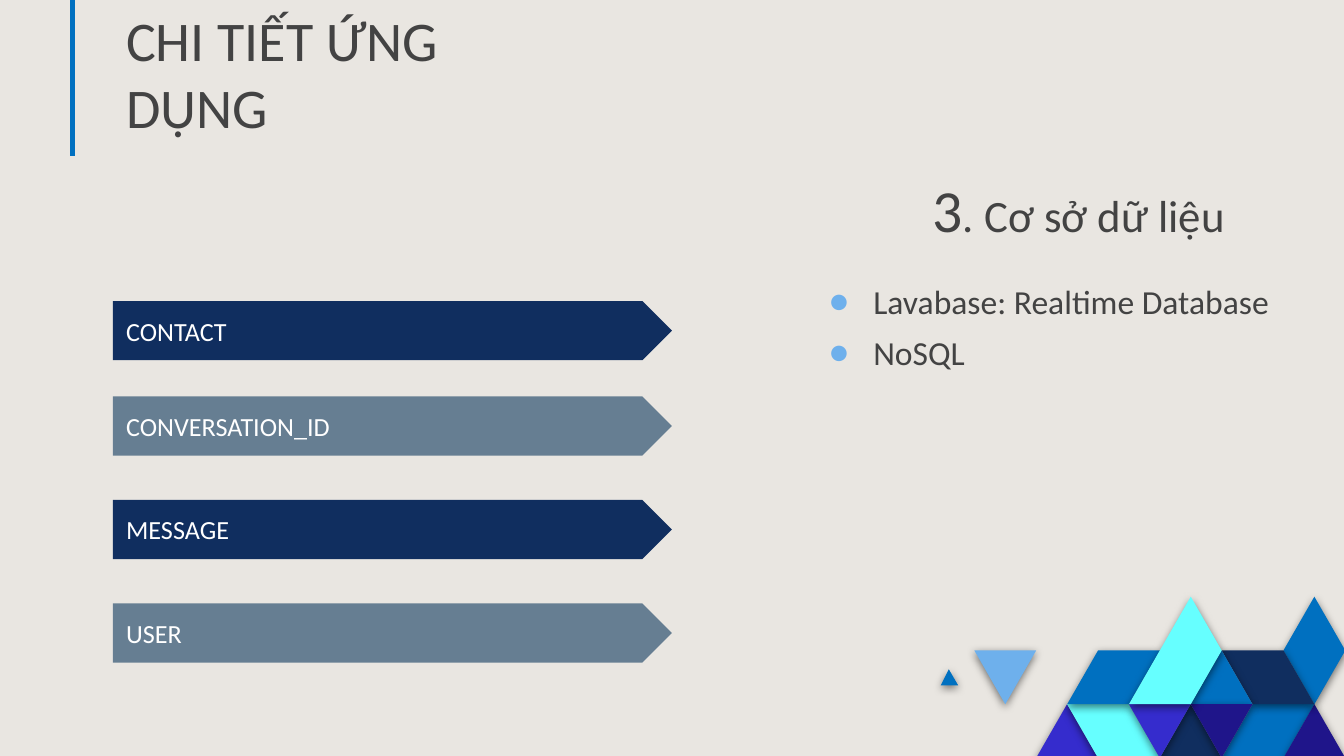
from lxml.etree import SubElement
from pptx import Presentation
from pptx.dml.color import RGBColor
from pptx.enum.shapes import MSO_CONNECTOR, MSO_SHAPE
from pptx.enum.text import MSO_ANCHOR, PP_ALIGN
from pptx.oxml.ns import qn
from pptx.util import Pt

PX = 9144  # 100 px to the inch
WIDE = 1000 * PX
FONT = "Calibri"

SAND = RGBColor(0xE9, 0xE6, 0xE1)
INK = RGBColor(0x43, 0x43, 0x43)
WHITE = RGBColor(0xFF, 0xFF, 0xFF)
BLUE = RGBColor(0x00, 0x70, 0xC0)
SKY = RGBColor(0x6E, 0xB0, 0xEC)
NAVY = RGBColor(0x10, 0x2E, 0x5F)
SLATE = RGBColor(0x66, 0x7E, 0x92)
AQUA = RGBColor(0x66, 0xFF, 0xFF)
VIOLET = RGBColor(0x35, 0x2C, 0xCD)
INDIGO = RGBColor(0x1F, 0x15, 0x8A)

# Corners as (column, row) on the triangle grid, from back to front
TILES = [
    (VIOLET, [(0, 3), (1, 2), (2, 3)]),
    (AQUA, [(1, 2), (3, 2), (4, 3), (2, 3)]),
    (BLUE, [(6, 3), (7, 2), (9, 2), (8, 3)]),
    (INDIGO, [(8, 3), (9, 2), (10, 3)]),
    (NAVY, [(4, 3), (5, 2), (6, 3)]),
    (BLUE, [(1, 2), (2, 1), (4, 1), (3, 2)]),
    (SKY, [(-2, 1), (0, 1), (-1, 2)]),
    (BLUE, [(8, 1), (9, 0), (10, 1), (9, 2)]),
    (NAVY, [(6, 1), (8, 1), (9, 2), (7, 2)]),
    (BLUE, [(5, 2), (6, 1), (7, 2)]),
    (INDIGO, [(5, 2), (7, 2), (6, 3)]),
    (VIOLET, [(3, 2), (5, 2), (4, 3)]),
    (AQUA, [(3, 2), (5, 0), (6, 1), (5, 2)]),
]


def emu(*sizes):
    return [size * PX for size in sizes]


def set_frame(shape, anchor):
    frame = shape.text_frame
    frame.word_wrap = True
    frame.vertical_anchor = anchor
    frame.margin_left = frame.margin_right = 10 * PX
    frame.margin_top = frame.margin_bottom = 10 * PX
    return frame


def add_text(slide, box, anchor):
    return set_frame(slide.shapes.add_textbox(*emu(*box)), anchor)


def add_run(para, text, size, color=INK):
    run = para.add_run()
    run.text = text
    run.font.name = FONT
    run.font.size = Pt(size)
    run.font.color.rgb = color


def add_bullet(para):
    props = para._p.get_or_add_pPr()
    props.set("marL", str(50 * PX))
    props.set("indent", str(-33 * PX))
    tint = SubElement(props, qn("a:buClr"))
    SubElement(tint, qn("a:srgbClr"), val=str(SKY))
    SubElement(props, qn("a:buFont"), typeface=FONT)
    SubElement(props, qn("a:buChar"), char="●")


def add_tile(slide, color, points):
    """Draw a shaded polygon with corners in px."""
    maker = slide.shapes.build_freeform(*points[0], scale=PX)
    maker.add_line_segments(points[1:], close=True)
    tile = maker.convert_to_shape()
    tile.fill.solid()
    tile.fill.fore_color.rgb = color
    tile.line.fill.background()
    tile.shadow.inherit = False
    effects = tile._element.spPr.find(qn("a:effectLst"))
    shade = SubElement(effects, qn("a:outerShdw"), blurRad=str(Pt(4.5)),
                       dist=str(Pt(1.5)), dir="5400000", algn="bl", rotWithShape="0")
    black = SubElement(shade, qn("a:srgbClr"), val="000000")
    SubElement(black, qn("a:alpha"), val="50000")


def add_mosaic(slide, left, top, half, high):
    """Place the tiles; half is half a triangle's width, high its height."""
    for color, cells in TILES:
        add_tile(slide, color, [(left + col * half, top + row * high) for col, row in cells])
    peak = left - 65
    base = top + 66
    add_tile(slide, BLUE, [(peak - 6, base), (peak, base - 12), (peak + 7, base)])


def add_title(slide, left, top, width, height):
    x = left - 30
    rule = slide.shapes.add_connector(MSO_CONNECTOR.STRAIGHT, *emu(x, 0, x, top + height + 2))
    rule.line.color.rgb = BLUE
    rule.line.width = Pt(2.25)
    SubElement(rule._element.spPr, qn("a:effectLst"))
    frame = add_text(slide, (left, top, width, height), MSO_ANCHOR.BOTTOM)
    add_run(frame.paragraphs[0], "CHI TIẾT ỨNG DỤNG", 30)


def add_topic(slide, left, top, width, height):
    frame = add_text(slide, (left, top, width, height), MSO_ANCHOR.BOTTOM)
    para = frame.paragraphs[0]
    para.space_after = Pt(12)
    add_run(para, "3", 32)
    add_run(para, ". Cơ sở dữ liệu", 24)


def add_list(slide, left, top, width, height):
    frame = add_text(slide, (left, top, width, height), MSO_ANCHOR.TOP)
    for i, text in enumerate(["Lavabase: Realtime Database", "NoSQL"]):
        para = frame.add_paragraph() if i else frame.paragraphs[0]
        para.space_after = Pt(6)
        add_bullet(para)
        add_run(para, text, 18)


def add_bars(slide, left, top, width, height):
    bars = [("CONTACT", 0, NAVY), ("CONVERSATION_ID", 71, SLATE),
            ("MESSAGE", 148, NAVY), ("USER", 225, SLATE)]
    for text, drop, color in bars:
        bar = slide.shapes.add_shape(MSO_SHAPE.PENTAGON, *emu(left, top + drop, width, height))
        bar.shadow.inherit = False
        bar.fill.solid()
        bar.fill.fore_color.rgb = color
        bar.line.fill.background()
        para = set_frame(bar, MSO_ANCHOR.MIDDLE).paragraphs[0]
        para.alignment = PP_ALIGN.LEFT
        add_run(para, text, 14, WHITE)


def main():
    deck = Presentation()
    deck.slide_width = WIDE
    deck.slide_height = WIDE * 9 // 16
    slide = deck.slides.add_slide(deck.slide_layouts[6])
    slide.background.fill.solid()
    slide.background.fill.fore_color.rgb = SAND
    add_mosaic(slide, 771, 444, 23, 40)
    add_title(slide, 84, 51, 364, 63)
    add_topic(slide, 684, 113, 355, 79)
    add_list(slide, 590, 199, 410, 113)
    add_bars(slide, 84, 224, 416, 44)
    deck.save("out.pptx")


if __name__ == "__main__":
    main()
